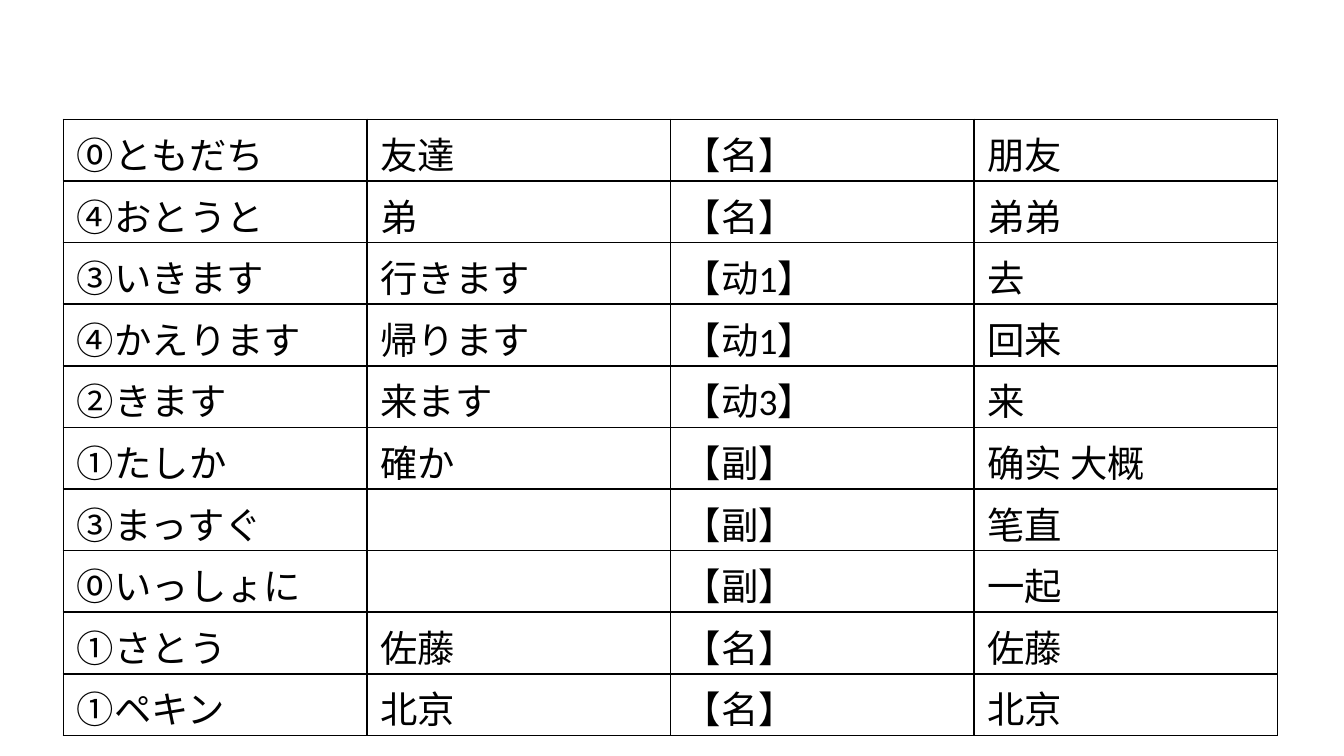
from pptx import Presentation
from pptx.dml.color import RGBColor
from pptx.oxml import parse_xml
from pptx.oxml.ns import nsdecls
from pptx.util import Pt

BLACK = RGBColor(0x00, 0x00, 0x00)
FONT = {"name": "Calibri", "size": Pt(20)}
CELL = {"margin_left": Pt(7.2), "margin_right": Pt(7.2),
        "margin_top": Pt(3.6), "margin_bottom": Pt(0)}
BORDER = Pt(1)
COLUMN_WIDTH = 162.6
ROW_HEIGHT = 33

WORDS = [
    ("⓪ともだち", "友達", "【名】", "朋友"),
    ("④おとうと", "弟", "【名】", "弟弟"),
    ("③いきます", "行きます", "【动1】", "去"),
    ("④かえります", "帰ります", "【动1】", "回来"),
    ("②きます", "来ます", "【动3】", "来"),
    ("①たしか", "確か", "【副】", "确实 大概"),
    ("③まっすぐ", "", "【副】", "笔直"),
    ("⓪いっしょに", "", "【副】", "一起"),
    ("①さとう", "佐藤", "【名】", "佐藤"),
    ("①ペキン", "北京", "【名】", "北京"),
]


def apply(target, values):
    for name, value in values.items():
        setattr(target, name, value)


class SlideWriter:
    def __init__(self, page):
        self.page = page

    def table(self, left, top, rows):
        columns = len(rows[0])
        frame = self.page.shapes.add_table(
            len(rows), columns, Pt(left), Pt(top),
            Pt(COLUMN_WIDTH * columns), Pt(ROW_HEIGHT * len(rows)))
        grid = frame.table
        apply(grid, {"first_row": False, "horz_banding": False})
        for column in grid.columns:
            column.width = Pt(COLUMN_WIDTH)
        for row, texts in zip(grid.rows, rows):
            row.height = Pt(ROW_HEIGHT)
            for cell, text in zip(row.cells, texts):
                self.fill_cell(cell, text)

    def fill_cell(self, cell, text):
        apply(cell, CELL)
        self.outline(cell)
        cell.fill.background()
        para = cell.text_frame.paragraphs[0]
        apply(para.font, FONT)
        if text:
            span = para.add_run()
            span.text = text
            apply(span.font, FONT)
            span.font.color.rgb = BLACK

    def outline(self, cell):
        """Draw a solid border on all four sides of a cell."""
        properties = cell._tc.get_or_add_tcPr()
        for side in ("lnL", "lnR", "lnT", "lnB"):
            properties.append(parse_xml(
                f'<a:{side} {nsdecls("a")} w="{BORDER}"><a:solidFill>'
                f'<a:srgbClr val="{BLACK}"/></a:solidFill></a:{side}>'))


def main():
    deck = Presentation()
    apply(deck, {"slide_width": Pt(720), "slide_height": Pt(405)})
    page = deck.slides.add_slide(deck.slide_layouts[6])
    SlideWriter(page).table(34, 64, WORDS)
    deck.save("out.pptx")


if __name__ == "__main__":
    main()
